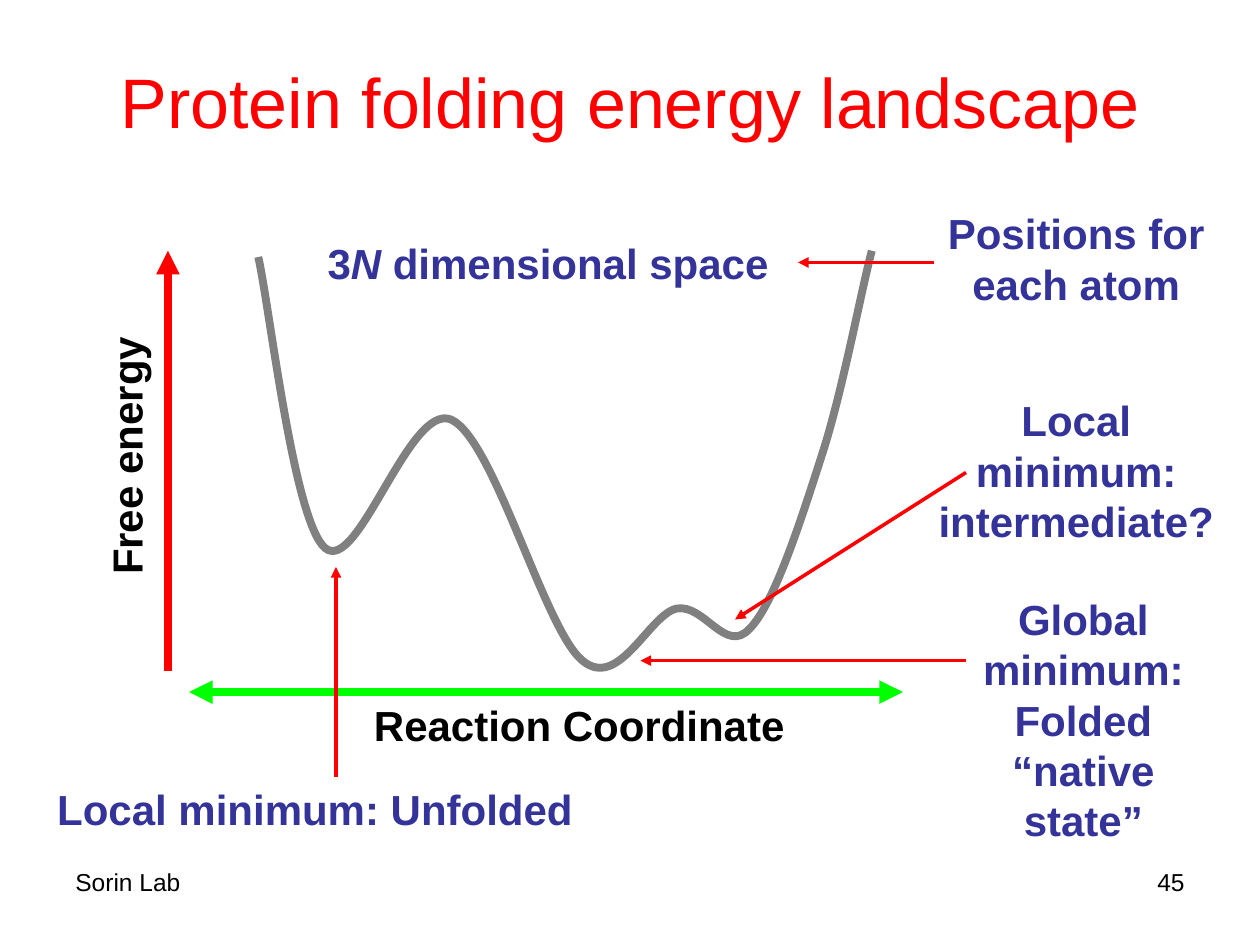
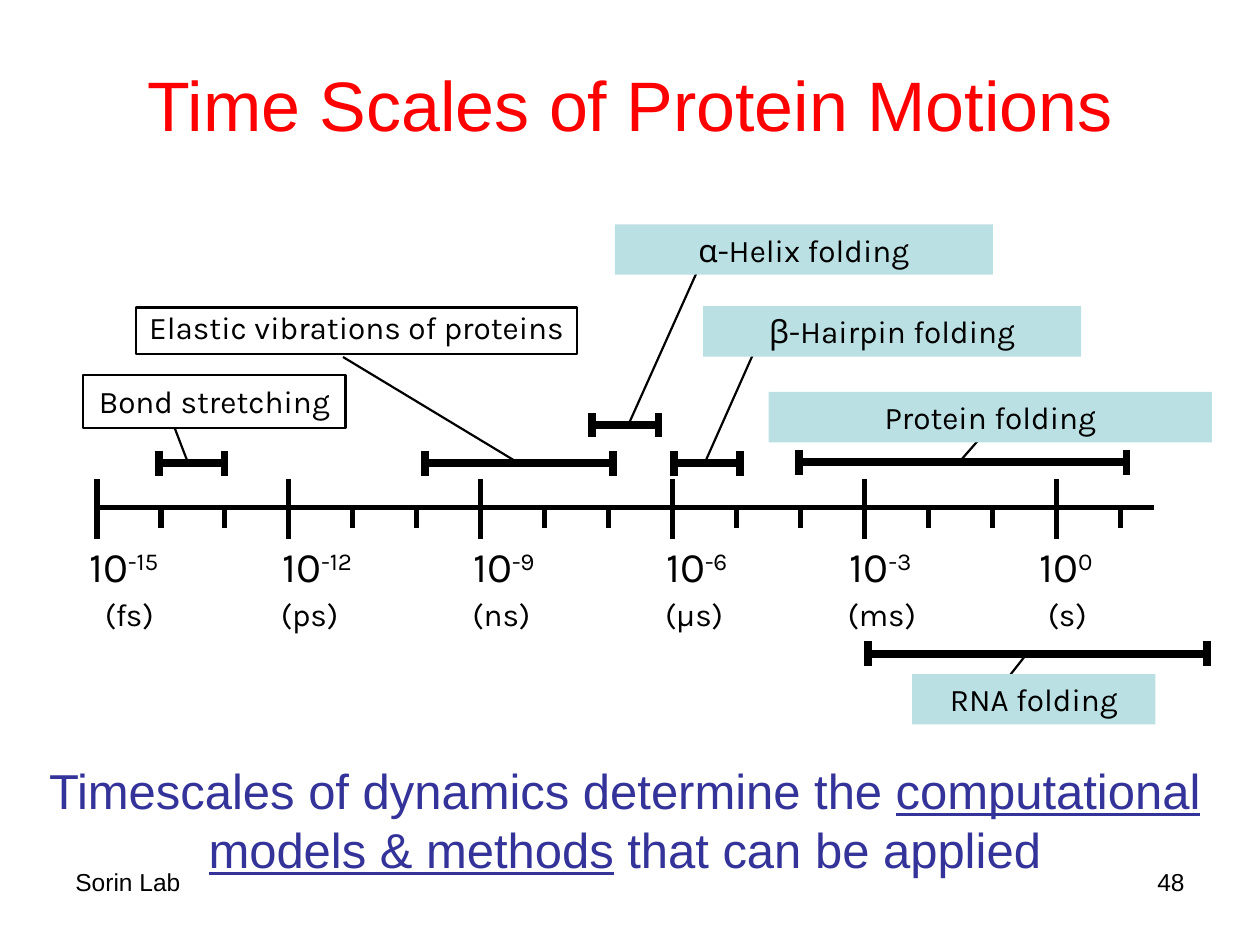
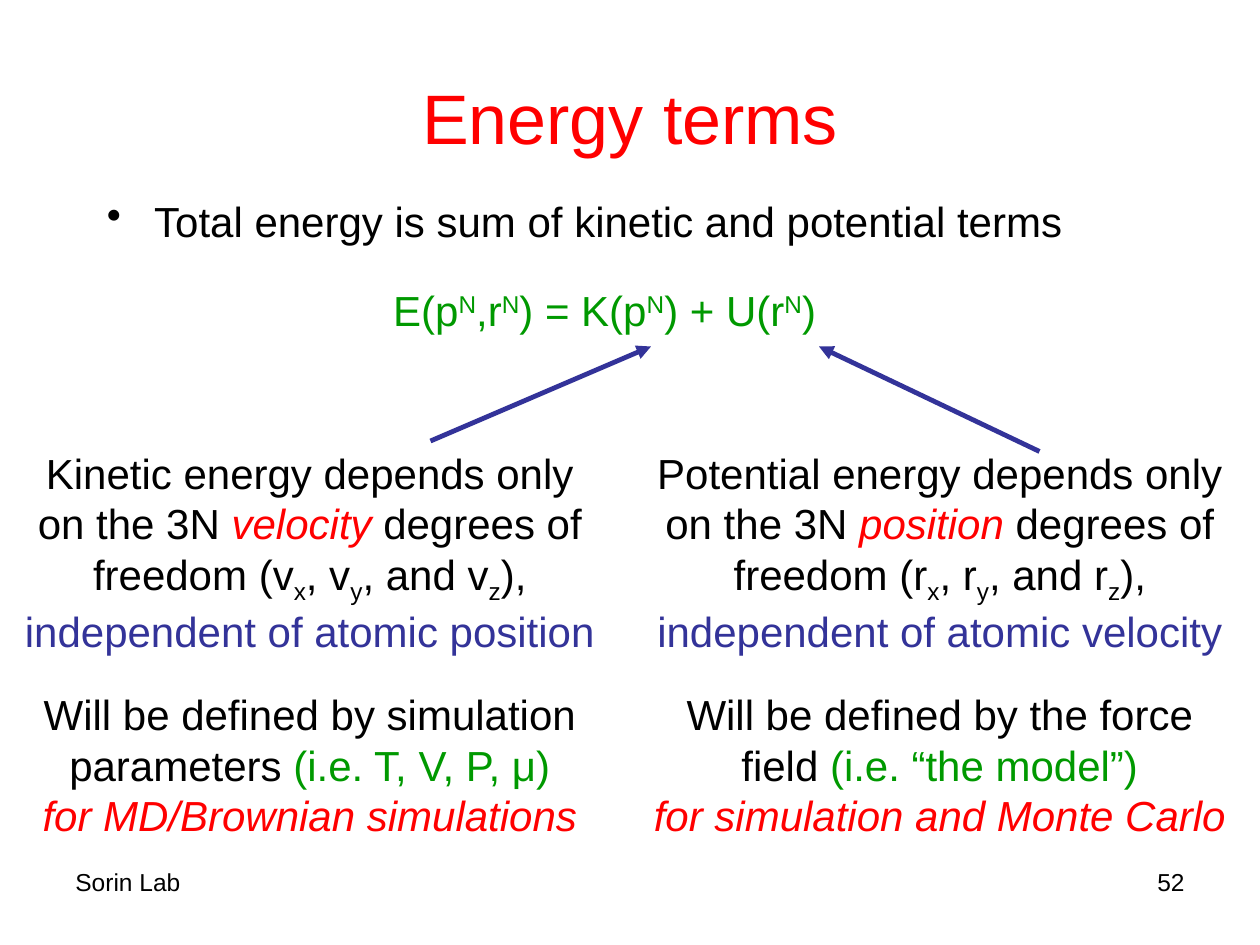
from lxml import etree
from pptx import Presentation
from pptx.dml.color import RGBColor
from pptx.enum.shapes import MSO_CONNECTOR, MSO_SHAPE
from pptx.enum.text import MSO_ANCHOR, PP_ALIGN
from pptx.oxml.ns import qn
from pptx.util import Pt

LEFT, CENTER, RIGHT = PP_ALIGN.LEFT, PP_ALIGN.CENTER, PP_ALIGN.RIGHT
TOP, MIDDLE = MSO_ANCHOR.TOP, MSO_ANCHOR.MIDDLE
STRAIGHT, RECTANGLE = MSO_CONNECTOR.STRAIGHT, MSO_SHAPE.RECTANGLE

BLACK, RED, BLUE = "000000", "FF0000", "333399"
GREEN, LIME, GRAY, PALE = "009900", "00FF00", "808080", "BBE0E3"
BODY_FONT, DIAGRAM_FONT = "Arial", "Karla"
SUP, SUB = {"base": 30}, {"base": -25}


def rgb(color):
    return RGBColor.from_string(color)


def format_run(r, size, color, font=BODY_FONT, bold=False, italic=False,
               underline=False, base=0):
    r.font.size = Pt(size)
    r.font.name = font
    r.font.bold = bold
    r.font.italic = italic
    r.font.underline = underline
    r.font.color.rgb = rgb(color)
    if base:
        r.font._element.set("baseline", str(base * 1000))


def write(sp, paragraphs, size=24, color=BLACK, align=CENTER, anchor=TOP,
          wrap=True, **style):
    """Fill a shape; a paragraph is a string or a list of (text, style) runs."""
    tf = sp.text_frame
    tf.word_wrap = wrap
    tf.vertical_anchor = anchor
    for i, content in enumerate(paragraphs):
        p = tf.add_paragraph() if i else tf.paragraphs[0]
        p.alignment = align
        if isinstance(content, str):
            p.text = content
            for r in p.runs:
                format_run(r, size, color, **style)
            continue
        for text, own_style in content:
            r = p.add_run()
            r.text = text
            format_run(r, **{"size": size, "color": color, **style, **own_style})
    return sp


def text_box(slide, box, *paragraphs, **style):
    sp = slide.shapes.add_textbox(*map(Pt, box))
    return write(sp, paragraphs, **style)


def line(slide, start, end, color=BLACK, width=1.25, ends=()):
    """Draw a straight line; ends may hold 'headEnd' and 'tailEnd'."""
    c = slide.shapes.add_connector(STRAIGHT, *map(Pt, (*start, *end)))
    c.line.color.rgb = rgb(color)
    c.line.width = Pt(width)
    ln = c.line._get_or_add_ln()
    for end_name in ends:
        etree.SubElement(ln, qn("a:" + end_name), type="triangle")
    etree.SubElement(c._element.spPr, qn("a:effectLst"))


def arrow(slide, start, end, color=RED, width=2):
    line(slide, start, end, color, width, ["tailEnd"])


def curve(slide, points, color, width):
    """Draw Bézier segments: a start point, then three points a segment."""
    points = [(Pt(x), Pt(y)) for x, y in points]
    builder = slide.shapes.build_freeform(*points[0])
    builder.add_line_segments(points[1:], close=False)
    sp = builder.convert_to_shape()
    sp.shadow.inherit = False
    sp.fill.background()
    sp.line.color.rgb = rgb(color)
    sp.line.width = Pt(width)
    outline = next(sp._element.iter(qn("a:path")))
    steps = outline.findall(qn("a:lnTo"))
    for i in range(0, len(steps), 3):
        bezier = etree.SubElement(outline, qn("a:cubicBezTo"))
        for step in steps[i:i + 3]:
            bezier.append(step[0])
            outline.remove(step)


def label(slide, box, text, filled):
    sp = slide.shapes.add_shape(RECTANGLE, *map(Pt, box))
    sp.shadow.inherit = False
    if filled:
        sp.fill.solid()
        sp.fill.fore_color.rgb = rgb(PALE)
        sp.line.fill.background()
    else:
        sp.fill.background()
        sp.line.color.rgb = rgb(BLACK)
        sp.line.width = Pt(1.25)
    return write(sp, [text], size=18, font=DIAGRAM_FONT)


def range_bar(slide, left, right, y):
    line(slide, (left, y), (right, y), width=4.5)
    for x in (left + 0.7, right - 0.7):
        line(slide, (x, y - 7), (x, y + 7), width=4.5)


def new_slide(prs, title, title_top, number):
    slide = prs.slides.add_slide(prs.slide_layouts[6])
    text_box(slide, (36, 491.8, 168, 37.4), "Sorin Lab", size=14, align=LEFT)
    text_box(slide, (516, 491.8, 168, 37.4), number, size=14, align=RIGHT)
    text_box(slide, (36, title_top, 648, 90), title, size=40, color=RED,
             anchor=MIDDLE)
    return slide


def landscape_slide(prs):
    slide = new_slide(prs, "Protein folding energy landscape", 12.2, "45")
    curve(slide, [
        (147.6, 146.9),
        (154.1, 175), (167.8, 298), (185.8, 313.2),
        (204.5, 329), (234, 229.7), (257.8, 239.8),
        (282.2, 250.6), (311, 359.3), (332.6, 377.3),
        (353.5, 395.3), (370.8, 351.4), (386.6, 347.8),
        (402.5, 344.9), (414.7, 374.4), (428.4, 359.3),
        (442.8, 344.9), (458.6, 294.5), (470.2, 258.5),
        (481.7, 222.5), (491.8, 167.8), (498.2, 143.3),
    ], GRAY, 4.5)

    arrow(slide, (96, 383.5), (96, 143.3), width=4.5)
    axis = text_box(slide, (-15, 242.5, 174, 36), "Free energy", bold=True)
    axis.rotation = 270
    line(slide, (108, 395.5), (516, 395.5), LIME, 4.5, ["headEnd", "tailEnd"])
    text_box(slide, (206.6, 396, 267, 36), "Reaction Coordinate",
             align=LEFT, bold=True)

    note = {"color": BLUE, "bold": True}
    text_box(slide, (180, 132, 266.4, 36),
             [("3", {}), ("N", {"italic": True}), (" dimensional space", {})],
             wrap=False, **note)
    for box, *paragraphs in (
        ((24, 444, 312, 36), "Local minimum: Unfolded"),
        ((548.6, 335.5, 141, 152.6), "Global minimum:\vFolded", "“native state”"),
        ((528, 222, 174, 93.6), "Local minimum: intermediate?"),
        ((528, 115.2, 174, 64.8), "Positions for each atom"),
    ):
        text_box(slide, box, *paragraphs, **note)
    for start, end in (
        ((552, 377.5), (366, 377.5)),
        ((552, 270), (420, 354)),
        ((192, 444), (192, 324)),
        ((534, 150), (456, 150)),
    ):
        arrow(slide, start, end)


def time_axis(slide):
    axis_y, first_x, decade = 290, 55.4, 36.55
    line(slide, (54.7, axis_y), (659.5, axis_y), width=3)
    for i in range(17):
        x = first_x + i * decade
        top, bottom = (axis_y, 302) if i % 3 else (274, 308)
        line(slide, (x, top), (x, bottom), width=3)

    for exponent, exponent_left, unit, unit_left in (
        ("-15", 24, "(fs)", 12),
        ("-12", 134.6, "(ps)", 115),
        ("-9", 241.2, "(ns)", 224.6),
        ("-6", 351.4, "(μs)", 334.8),
        ("-3", 456.5, "(ms)", 442),
        ("0", 562.3, "(s)", 548),
    ):
        text_box(slide, (exponent_left, 305.5, 93.6, 36),
                 [("10", {}), (exponent, SUP)], font=DIAGRAM_FONT)
        text_box(slide, (unit_left, 336.5, 123.8, 28.8), unit, size=18,
                 font=DIAGRAM_FONT)


def time_scales_slide(prs):
    slide = new_slide(prs, "Time Scales of Protein Motions", 14.4, "48")
    time_axis(slide)
    # name, label box, filled, range (left, right, y), leader (start, end)
    motions = (
        ("Bond stretching", (47.5, 214.5, 150, 30.2), False,
         (90, 129, 264.8), ((100, 245), (108, 266))),
        ("Elastic vibrations of proteins", (77.8, 175.7, 252, 26.6), False,
         (242, 351, 264.8), ((196, 204), (297, 265))),
        ("α-Helix folding", (351.4, 128.2, 216, 28.8), True,
         (337.7, 377, 243), ((398, 156), (358.5, 244))),
        ("β-Hairpin folding", (401.8, 175, 216, 28.8), True,
         (384.5, 423.4, 264.8), ((430.5, 202), (402.5, 265))),
        ("Protein folding", (439.2, 224, 253.4, 28.8), True,
         (455.8, 644.4, 264.2), ((560, 250.5), (548.6, 263.5))),
        ("RNA folding", (521.3, 385.2, 139, 28.8), True,
         (495.4, 690.2, 373.5), ((577, 386), (588, 372))),
    )
    for name, box, filled, extent, leader in motions:
        range_bar(slide, *extent)
        line(slide, *leader)
        sp = label(slide, box, name, filled)
        if name.startswith("Elastic"):
            sp.text_frame.paragraphs[0].line_spacing = 0.85

    text_box(slide, (12, 420, 690, 96),
             [("Timescales of dynamics determine the ", {}),
              ("computational models & methods", {"underline": True}),
              (" that can be applied", {})],
             size=28, color=BLUE, anchor=MIDDLE)


def total_energy(slide):
    formula = [("E(p", {}), ("N", SUP), (",r", {}), ("N", SUP), (") = K(p", {}),
               ("N", SUP), (") + U(r", {}), ("N", SUP), (")", {})]
    sp = text_box(slide, (54, 108, 630, 96),
                  "Total energy is sum of kinetic and potential terms",
                  [(text, {"color": GREEN, **style}) for text, style in formula])
    statement, equation = sp.text_frame.paragraphs
    statement.alignment = LEFT
    pPr = statement._p.get_or_add_pPr()
    pPr.set("marL", str(Pt(27)))
    pPr.set("indent", str(-Pt(27)))
    etree.SubElement(pPr, qn("a:buChar"), char="•")
    equation.space_before = Pt(22)
    equation._p.get_or_add_pPr().set("marR", str(Pt(47)))


def energy_column(slide, left, kind, variable, symbol, other, source, example,
                  methods):
    red_italic = {"color": RED, "italic": True}
    text_box(slide, (left, 252, 342, 123.8),
             [(kind + " energy depends only on the 3N ", {}),
              (variable, red_italic),
              (f" degrees of freedom ({symbol}", {}), ("x", SUB),
              (f", {symbol}", {}), ("y", SUB),
              (f", and {symbol}", {}), ("z", SUB), ("),", {})],
             [("independent of atomic " + other, {"color": BLUE})])
    text_box(slide, (left, 390, 342, 94.3),
             [(f"Will be defined by {source} ", {}), (example, {"color": GREEN})],
             [(methods, red_italic)])


def energy_terms_slide(prs):
    slide = new_slide(prs, "Energy terms", 21.6, "52")
    total_energy(slide)
    energy_column(slide, 6, "Kinetic", "velocity", "v", "position",
                  "simulation parameters", "(i.e. T, V, P, μ)",
                  "for MD/Brownian simulations")
    energy_column(slide, 366, "Potential", "position", "r", "velocity",
                  "the force field", "(i.e. “the model”)",
                  "for simulation and Monte Carlo")
    arrow(slide, (246, 252), (372, 198), BLUE, 2.75)
    arrow(slide, (594, 258), (468, 198), BLUE, 2.75)


def main():
    prs = Presentation()
    prs.slide_width, prs.slide_height = Pt(720), Pt(540)
    landscape_slide(prs)
    time_scales_slide(prs)
    energy_terms_slide(prs)
    prs.save("out.pptx")


if __name__ == "__main__":
    main()
